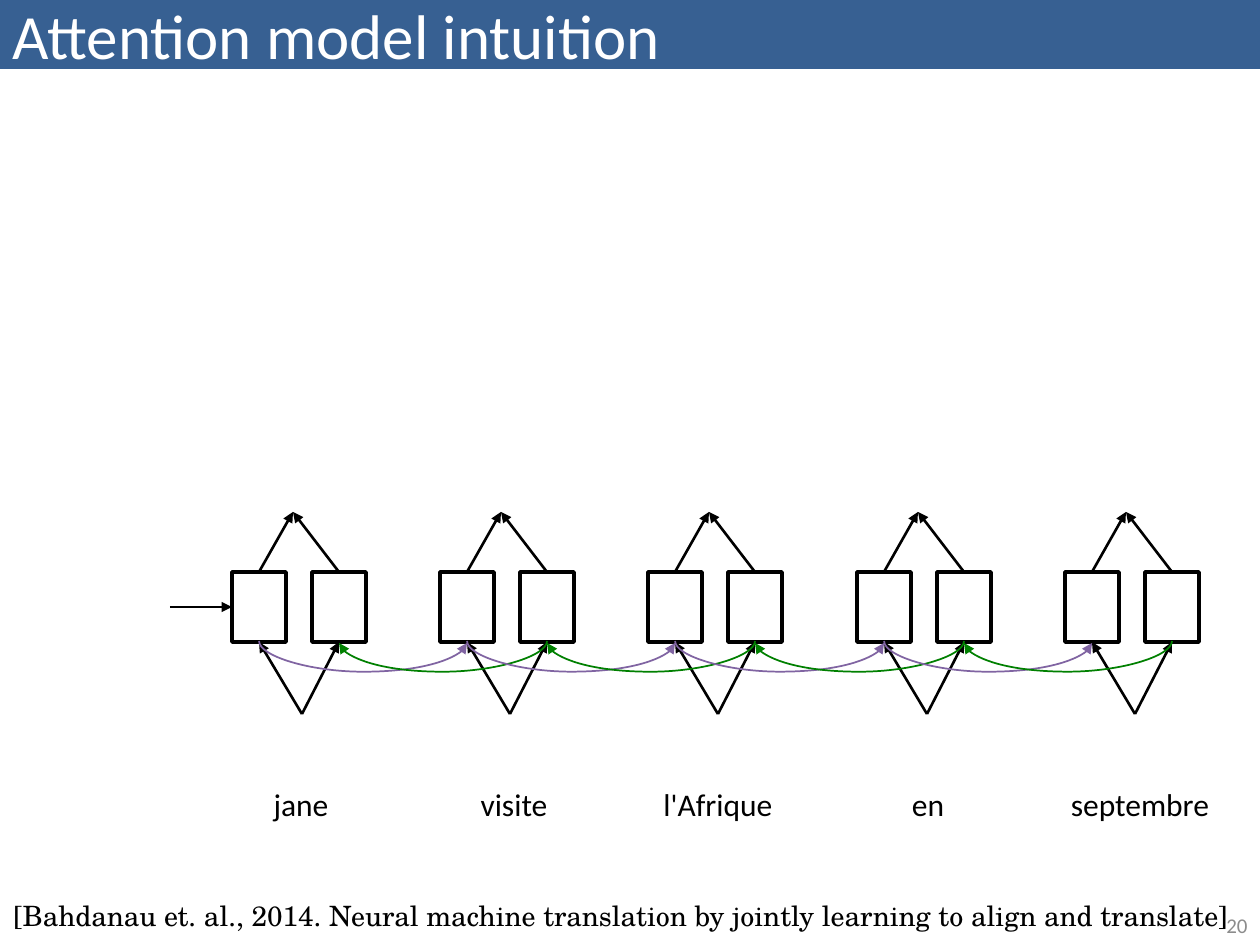
"""Build the slide that shows the bidirectional encoder behind the attention model."""
from lxml.etree import SubElement
from pptx import Presentation
from pptx.dml.color import RGBColor
from pptx.enum.shapes import MSO_CONNECTOR, MSO_SHAPE
from pptx.enum.text import MSO_ANCHOR, MSO_AUTO_SIZE, PP_ALIGN
from pptx.oxml.ns import qn
from pptx.util import Pt

TITLE = "Attention model intuition"
PAGE = "20"
CITATION = ("[Bahdanau et. al., 2014. Neural machine translation by jointly "
            "learning to align and translate]")
WORDS = [("jane", 301, 80), ("visite", 514, 94), ("l'Afrique", 718, 136),
         ("en", 928, 58), ("septembre", 1140, 166)]

BLUE = RGBColor(0x37, 0x60, 0x92)
WHITE = RGBColor(0xFF, 0xFF, 0xFF)
BLACK = RGBColor(0x00, 0x00, 0x00)
GRAY = RGBColor(0x8C, 0x8C, 0x8C)
PURPLE = RGBColor(0x80, 0x64, 0xA2)
GREEN = RGBColor(0x00, 0x80, 0x00)

SLIDE_W, SLIDE_H = 1260, 945
CELL_TOP, CELL_W, CELL_H = 572, 54, 70
FORWARD_X, BACKWARD_X = 232, 312
INPUT_X, INPUT_Y = 302, 714
OUTPUT_X, OUTPUT_Y = 293, 512
START_X = 170
CURVE_RISE, CURVE_SAG = 2, 31
TOP, LEFT, BOTTOM = 0, 1, 2


def px(length):
    return round(length * 914400 / 126)


def write(frame, text, size, color, font="Calibri", align=PP_ALIGN.LEFT):
    paragraph = frame.paragraphs[0]
    paragraph.alignment = align
    run = paragraph.add_run()
    run.text = text
    run.font.size, run.font.name = Pt(size), font
    run.font.color.rgb = color


def add_text(slide, box, text, size, color, wrap=True, anchor=MSO_ANCHOR.TOP, **style):
    frame = slide.shapes.add_textbox(*map(px, box)).text_frame
    frame.word_wrap = wrap
    frame.vertical_anchor = anchor
    write(frame, text, size, color, **style)


def add_cell(slide, left):
    cell = slide.shapes.add_shape(MSO_SHAPE.RECTANGLE, px(left), px(CELL_TOP),
                                  px(CELL_W), px(CELL_H))
    cell.shadow.inherit = False
    cell.fill.background()
    cell.line.color.rgb = BLACK
    cell.line.width = Pt(2)
    return cell


def add_arrow(slide, kind, start, end, color, width):
    arrow = slide.shapes.add_connector(kind, *map(px, (*start, *end)))
    arrow.line.color.rgb = color
    arrow.line.width = Pt(width)
    SubElement(arrow.line._get_or_add_ln(), qn("a:tailEnd"), type="triangle")
    SubElement(arrow._element.spPr, qn("a:effectLst"))
    return arrow


def add_straight(slide, start, end):
    return add_arrow(slide, MSO_CONNECTOR.STRAIGHT, start, end, BLACK, 1.5)


def add_curve(slide, source, target, color):
    start, end = (cell.left / px(1) + CELL_W / 2 for cell in (source, target))
    span = abs(end - start)
    left = (start + end - CURVE_RISE) / 2
    top = CELL_TOP + CELL_H - span / 2
    curve = add_arrow(slide, MSO_CONNECTOR.CURVE, (left, top),
                      (left + CURVE_RISE, top + span), color, 1)
    frame = curve._element.spPr.find(qn("a:xfrm"))
    if end > start:
        frame.set("rot", str(270 * 60000))
        frame.set("flipH", "1")
    else:
        frame.set("rot", str(90 * 60000))
    guides = curve._element.spPr.find(qn("a:prstGeom")).find(qn("a:avLst"))
    SubElement(guides, qn("a:gd"), name="adj1",
               fmla=f"val {CURVE_SAG * 100000 // CURVE_RISE}")


def add_unit(slide, shift):
    cells = [add_cell(slide, left + shift) for left in (FORWARD_X, BACKWARD_X)]
    source = (INPUT_X + shift, INPUT_Y)
    output = (OUTPUT_X + shift, OUTPUT_Y)
    for cell in cells:
        add_straight(slide, source, output).end_connect(cell, BOTTOM)
        add_straight(slide, source, output).begin_connect(cell, TOP)
    return cells


def main():
    deck = Presentation()
    deck.slide_width, deck.slide_height = px(SLIDE_W), px(SLIDE_H)
    slide = deck.slides.add_slide(deck.slide_layouts[5])

    title = slide.shapes.title
    title.left, title.top, title.width, title.height = map(px, (0, 0, SLIDE_W, 69))
    title.fill.solid()
    title.fill.fore_color.rgb = BLUE
    title.text_frame.auto_size = MSO_AUTO_SIZE.NONE
    title.text_frame.vertical_anchor = MSO_ANCHOR.MIDDLE
    write(title.text_frame, TITLE, 36, WHITE)

    add_text(slide, (1142, 906, 118, 39), PAGE, 12, GRAY,
             anchor=MSO_ANCHOR.MIDDLE, align=PP_ALIGN.RIGHT)
    for word, center, width in WORDS:
        add_text(slide, (center - width / 2, 779, width, 50), word, 18, BLACK,
                 wrap=False, align=PP_ALIGN.CENTER)

    units = [add_unit(slide, index * 625 // 3) for index in range(len(WORDS))]
    middle = CELL_TOP + CELL_H / 2
    initial = add_straight(slide, (START_X, middle), (FORWARD_X, middle))
    initial.end_connect(units[0][0], LEFT)
    for (forward, backward), (next_forward, next_backward) in zip(units, units[1:]):
        add_curve(slide, forward, next_forward, PURPLE)
        add_curve(slide, next_backward, backward, GREEN)

    add_text(slide, (1, 892, SLIDE_W, 47), CITATION, 16, BLACK, font="TeX Gyre Schola")
    deck.save("out.pptx")


if __name__ == "__main__":
    main()
